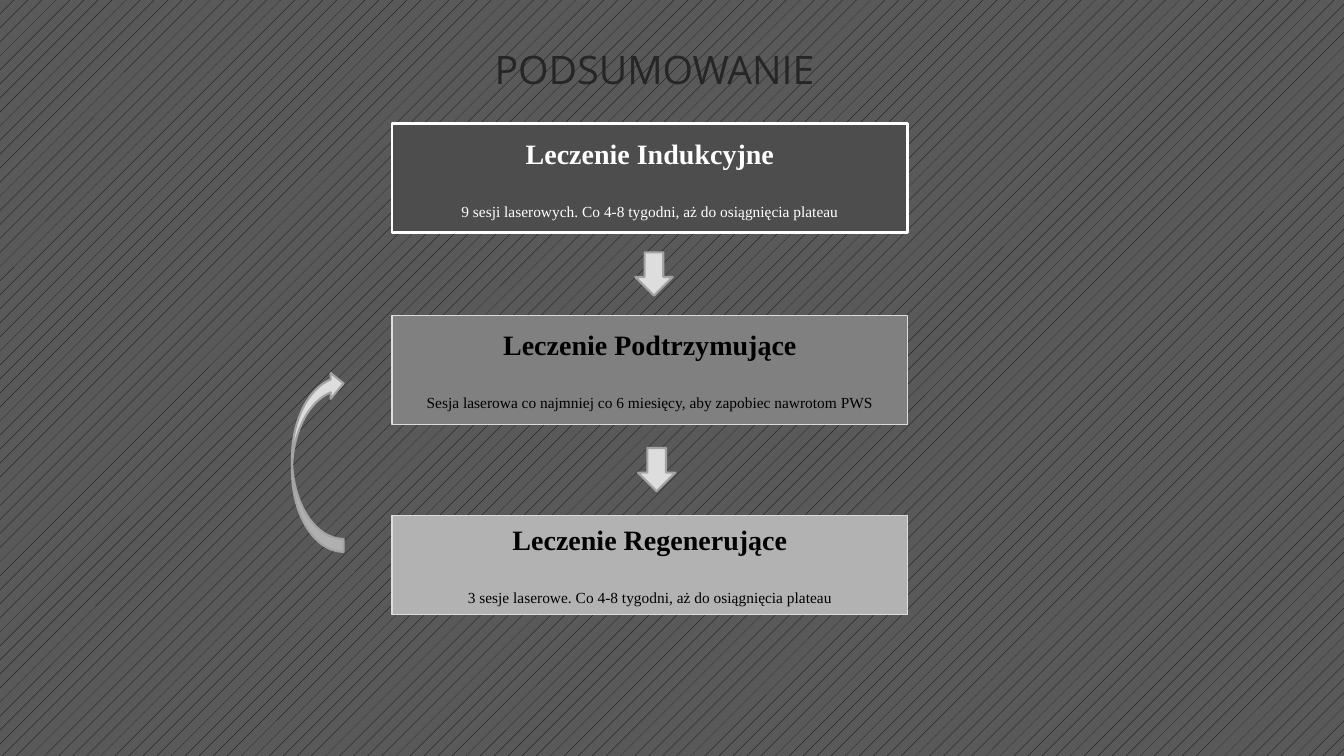
from pptx import Presentation
from pptx.dml.color import RGBColor
from pptx.enum.dml import MSO_PATTERN
from pptx.enum.shapes import MSO_SHAPE
from pptx.enum.text import MSO_ANCHOR, MSO_AUTO_SIZE, PP_ALIGN
from pptx.util import Cm, Pt

COLORS = {
    "black": "000000", "white": "FFFFFF", "background": "595959", "title": "262626",
    "induction": "4D4D4D", "maintenance": "808080", "regeneration": "B2B2B2",
    "light": "DDDDDD", "arrow_line": "A3A3A3",
}
STAGE_LEFT, STAGE_WIDTH = 9.88, 13.0
STAGES = [
    (3.12, 2.74, "induction", "white", "white", 2, "Leczenie Indukcyjne",
     "9 sesji laserowych. Co 4-8 tygodni, aż do osiągnięcia plateau"),
    (7.95, 2.74, "maintenance", "light", "black", 0.75, "Leczenie Podtrzymujące",
     "Sesja laserowa co najmniej co 6 miesięcy, aby zapobiec nawrotom PWS"),
    (12.98, 2.51, "regeneration", "light", "black", 0.75, "Leczenie Regenerujące",
     "3 sesje laserowe. Co 4-8 tygodni, aż do osiągnięcia plateau"),
]
ARROW_SHIFTS = [0.1, 0.17]


def rgb(name):
    return RGBColor.from_string(COLORS[name])


def set_background(s):
    fill = s.background.fill
    fill.patterned()
    fill.pattern = MSO_PATTERN.PERCENT_5
    fill.fore_color.rgb = rgb("black")
    fill.back_color.rgb = rgb("background")


def format_paragraph(p, font, size, color, bold=False):
    p.alignment = PP_ALIGN.CENTER
    for r in p.runs:
        r.font.name = font
        r.font.size = Pt(size)
        r.font.bold = bold
        r.font.color.rgb = rgb(color)


def add_title(s, left, top, width, height):
    sp = s.shapes.title
    sp.left, sp.top, sp.width, sp.height = Cm(left), Cm(top), Cm(width), Cm(height)
    tf = sp.text_frame
    tf.text = "PODSUMOWANIE"
    tf.word_wrap = True
    tf.auto_size = MSO_AUTO_SIZE.NONE
    tf.vertical_anchor = MSO_ANCHOR.MIDDLE
    p = tf.paragraphs[0]
    p.line_spacing = 0.9
    format_paragraph(p, "Open Sans", 28, "title")


def add_filled(s, kind, left, top, width, height, fill, line, line_width):
    sp = s.shapes.add_shape(kind, Cm(left), Cm(top), Cm(width), Cm(height))
    sp.shadow.inherit = False
    sp.fill.solid()
    sp.fill.fore_color.rgb = rgb(fill)
    sp.line.color.rgb = rgb(line)
    sp.line.width = Pt(line_width)
    return sp


def add_stage(s, left, top, width, height, fill, line, color, line_width, name, plan):
    sp = add_filled(s, MSO_SHAPE.RECTANGLE, left, top, width, height, fill, line, line_width)
    tf = sp.text_frame
    tf.word_wrap = True
    tf.vertical_anchor = MSO_ANCHOR.MIDDLE
    tf.text = name
    format_paragraph(tf.paragraphs[0], "Times New Roman", 20, color, bold=True)
    p = tf.add_paragraph()
    p.text = plan
    p.space_before = Pt(23)
    format_paragraph(p, "Times New Roman", 11, color)


def add_turned_arrow(s, kind, center_x, center_y, length, thickness):
    sp = add_filled(s, kind, center_x - length / 2, center_y - thickness / 2,
                    length, thickness, "light", "arrow_line", 1.5)
    sp.rotation = 90
    return sp


def add_return_arrow(s, center_x, center_y, length, thickness):
    sp = add_turned_arrow(s, MSO_SHAPE.CURVED_UP_ARROW, center_x, center_y, length, thickness)
    sp.element.spPr.xfrm.set("flipH", "1")


def add_stages(s, left, width):
    for top, height, fill, line, color, line_width, name, plan in STAGES:
        add_stage(s, left, top, width, height, fill, line, color, line_width, name, plan)
    add_return_arrow(s, left - 1.87, 11.62, 4.57, 1.3)
    for upper, lower, shift in zip(STAGES, STAGES[1:], ARROW_SHIFTS):
        gap_middle = (upper[0] + upper[1] + lower[0]) / 2
        add_turned_arrow(s, MSO_SHAPE.RIGHT_ARROW, left + width / 2 + shift,
                         gap_middle, 1.09, 0.94)


def main():
    prs = Presentation()
    prs.slide_width, prs.slide_height = Cm(33.87), Cm(19.05)
    s = prs.slides.add_slide(prs.slide_layouts[5])
    set_background(s)
    add_title(s, 3.25, 1.04, 26.49, 1.52)
    add_stages(s, STAGE_LEFT, STAGE_WIDTH)
    prs.save("out.pptx")


if __name__ == "__main__":
    main()
